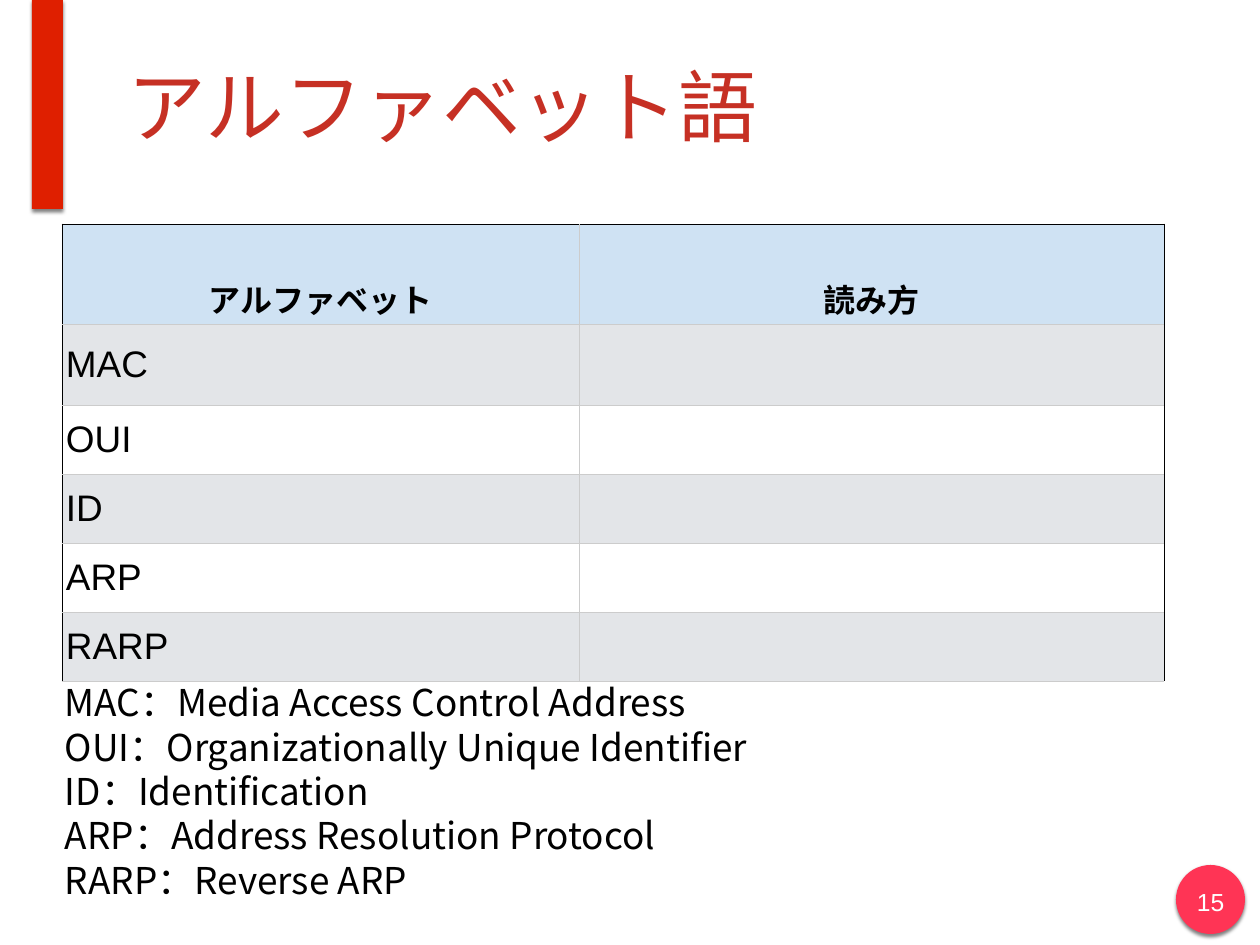
"""Build a slide with a table of network abbreviations and their meanings."""
from lxml.etree import SubElement
from pptx import Presentation
from pptx.dml.color import RGBColor
from pptx.enum.shapes import MSO_SHAPE
from pptx.enum.text import MSO_ANCHOR, PP_ALIGN
from pptx.oxml.ns import qn

TITLE = "アルファベット語"
HEADS = ["アルファベット", "読み方"]
TERMS = [
    ("MAC", "Media Access Control Address"),
    ("OUI", "Organizationally Unique Identifier"),
    ("ID", "Identification"),
    ("ARP", "Address Resolution Protocol"),
    ("RARP", "Reverse ARP"),
]
PAGE = "15"
COLS = [517, 585]
ROWS = [100, 81] + [69] * 4
HEX = {"red": "DF1F00", "pink": "FF3455", "title": "C63024", "head": "CFE2F3",
       "band": "E3E5E8", "white": "FFFFFF", "black": "000000", "grid": "CCCCCC"}
LATIN, CJK = "Arial", "Noto Sans CJK JP"
SCALE = 10320


def px(*nums):
    return [n * SCALE for n in nums]


def color(name):
    return RGBColor.from_string(HEX[name])


def style(para, size, tone, face=LATIN, bold=False):
    font = para.font
    font.size, font.name, font.bold = size * 12700, face, bold
    font.color.rgb = color(tone)


def add_mark(kind, box, tone):
    mark = slide.shapes.add_shape(kind, *px(*box))
    mark.fill.solid()
    mark.fill.fore_color.rgb = color(tone)
    mark.line.fill.background()
    mark.shadow.inherit = False
    effects = mark._element.spPr.find(qn("a:effectLst"))
    shade = SubElement(effects, qn("a:outerShdw"), blurRad="38100", dist="25400",
                       dir="5400000", rotWithShape="0")
    tint = SubElement(shade, qn("a:srgbClr"), val=HEX["black"])
    SubElement(tint, qn("a:alpha"), val="50000")


def add_text(box, lines, inset, *look):
    frame = slide.shapes.add_textbox(*px(*box)).text_frame
    frame.word_wrap = True
    frame.margin_left = frame.margin_right = inset * SCALE
    frame.margin_top = frame.margin_bottom = inset * SCALE
    frame.text = "\n".join(lines)
    for para in frame.paragraphs:
        style(para, *look)
    return frame


def add_edges(cell, row, col):
    dark = {"L": col == 0, "R": col == 1, "T": row == 0, "B": False}
    props = cell._tc.get_or_add_tcPr()
    for spot, (side, edge) in enumerate(dark.items()):
        line = SubElement(props, qn(f"a:ln{side}"), w="9525")
        fill = SubElement(line, qn("a:solidFill"))
        SubElement(fill, qn("a:srgbClr"), val=HEX["black" if edge else "grid"])
        props.insert(spot, line)


def add_grid():
    grid = slide.shapes.add_table(len(ROWS), len(COLS),
                                  *px(62, 224, sum(COLS), sum(ROWS))).table
    for col, width in zip(grid.columns, COLS):
        col.width = width * SCALE
    for row, height in zip(grid.rows, ROWS):
        row.height = height * SCALE
    words = [HEADS] + [(term, "") for term, _ in TERMS]
    for r, line in enumerate(words):
        for c, word in enumerate(line):
            cell = grid.cell(r, c)
            cell.fill.solid()
            cell.fill.fore_color.rgb = color("head" if r == 0 else "band" if r % 2 else "white")
            cell.margin_left = cell.margin_right = 4 * SCALE
            cell.margin_top = cell.margin_bottom = 3 * SCALE
            cell.vertical_anchor = MSO_ANCHOR.MIDDLE
            cell.text = word
            para = cell.text_frame.paragraphs[0]
            style(para, 30 if r else 26, "black", bold=r == 0)
            if r == 0:
                para.alignment = PP_ALIGN.CENTER
                para.line_spacing = 2.05
            add_edges(cell, r, c)


deck = Presentation()
deck.slide_width, deck.slide_height = px(1260, 945)
slide = deck.slides.add_slide(deck.slide_layouts[6])
add_mark(MSO_SHAPE.OVAL, (1176, 865, 69, 69), "pink")
add_mark(MSO_SHAPE.RECTANGLE, (32, 0, 31, 209), "red")
page = add_text((1189, 882, 43, 40), [PAGE], 5, 20, "white")
page.paragraphs[0].alignment = PP_ALIGN.CENTER
title = add_text((123, 11, 1076, 188), [TITLE], 5, 64, "title")
title.vertical_anchor = MSO_ANCHOR.MIDDLE
add_grid()
add_text((56, 671, 1113, 257), [f"{term}：{name}" for term, name in TERMS],
         9, 30, "black", CJK)
deck.save("out.pptx")
